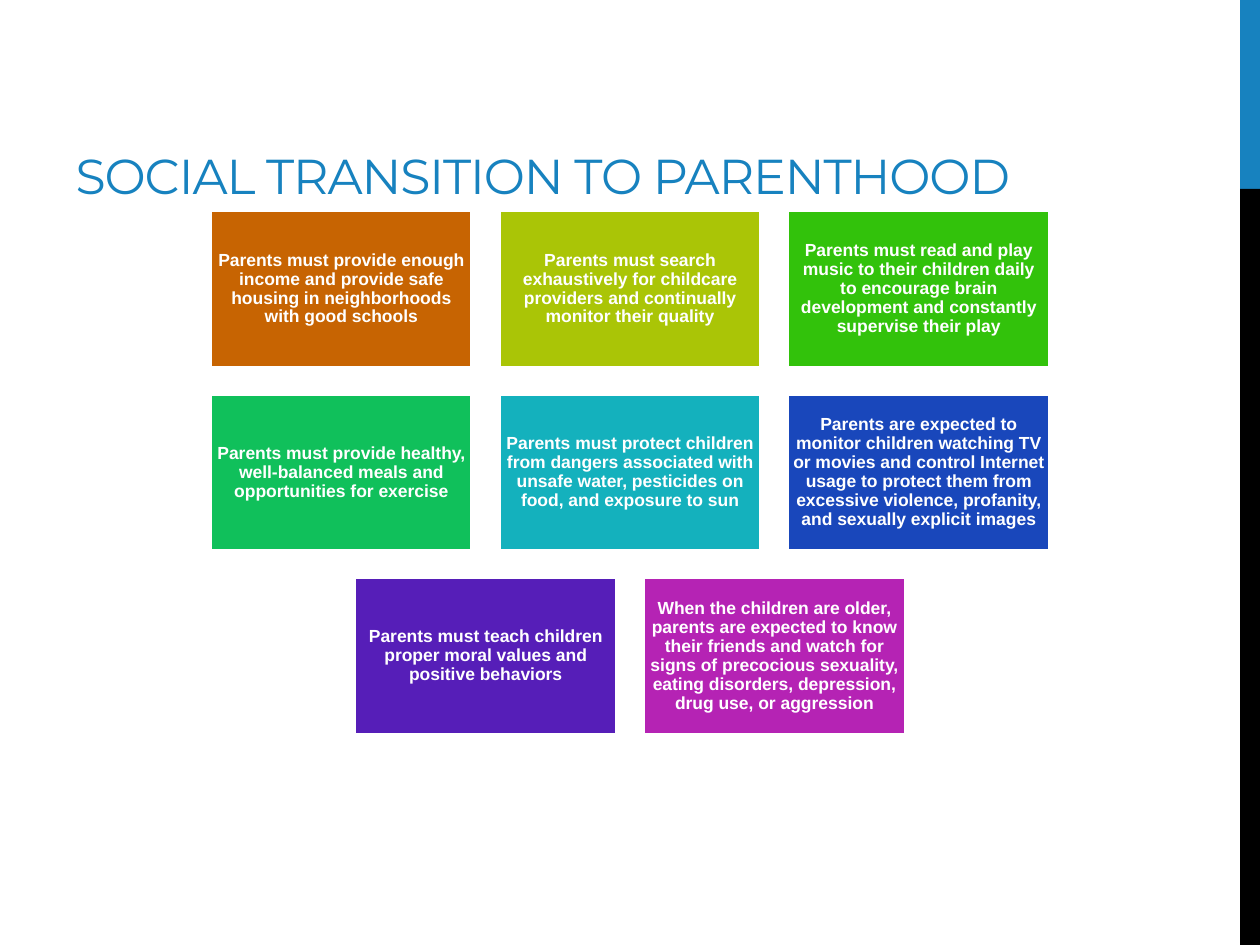
from pptx import Presentation
from pptx.dml.color import RGBColor
from pptx.enum.shapes import MSO_SHAPE
from pptx.enum.text import MSO_ANCHOR, PP_ALIGN
from pptx.util import Cm, Pt

RECTANGLE = MSO_SHAPE.RECTANGLE
MIDDLE, BOTTOM = MSO_ANCHOR.MIDDLE, MSO_ANCHOR.BOTTOM
LEFT, CENTER = PP_ALIGN.LEFT, PP_ALIGN.CENTER

COLORS = {
    "title": "1782BF", "black": "000000", "white": "FFFFFF",
    "orange": "C76402", "olive": "AAC506", "green": "32C20B",
    "emerald": "10C05B", "teal": "14B1BD", "blue": "1947BB",
    "violet": "561EB8", "magenta": "B523B4",
}
PAGE_WIDTH, PAGE_HEIGHT = 25.4, 19.05
BAR_LEFT, BAR_SPLIT = 25, 3.81
BOX_WIDTH, BOX_HEIGHT, GAP = 5.29, 3.17, 0.53
GRID_TOP = 4.24

ROWS = [
    [("orange", "Parents must provide enough income and provide safe housing in "
                "neighborhoods with good schools"),
     ("olive", "Parents must search exhaustively for childcare providers and "
               "continually monitor their quality"),
     ("green", "Parents must read and play music to their children daily to "
               "encourage brain development and constantly supervise their play")],
    [("emerald", "Parents must provide healthy, well-balanced meals and "
                 "opportunities for exercise"),
     ("teal", "Parents must protect children from dangers associated with unsafe "
              "water, pesticides on food, and exposure to sun"),
     ("blue", "Parents are expected to monitor children watching TV or movies and "
              "control Internet usage to protect them from excessive violence, "
              "profanity, and sexually explicit images")],
    [("violet", "Parents must teach children proper moral values and positive "
                "behaviors"),
     ("magenta", "When the children are older, parents are expected to know their "
                 "friends and watch for signs of precocious sexuality, eating "
                 "disorders, depression, drug use, or aggression")],
]


def color(name):
    return RGBColor.from_string(COLORS[name])


def add_rectangle(page, left, top, width, height, fill):
    """Add a plain filled rectangle, with lengths in centimetres."""
    box = page.shapes.add_shape(RECTANGLE, Cm(left), Cm(top), Cm(width), Cm(height))
    box.shadow.inherit = False
    box.fill.solid()
    box.fill.fore_color.rgb = color(fill)
    box.line.fill.background()
    return box


deck = Presentation()
deck.slide_width, deck.slide_height = Cm(PAGE_WIDTH), Cm(PAGE_HEIGHT)
page = deck.slides.add_slide(deck.slide_layouts[5])

# Side bar
bar_width = PAGE_WIDTH - BAR_LEFT
add_rectangle(page, BAR_LEFT, 0, bar_width, BAR_SPLIT, "title")
add_rectangle(page, BAR_LEFT, BAR_SPLIT, bar_width, PAGE_HEIGHT - BAR_SPLIT, "black")

# Title
title = page.shapes.title
title.left, title.top, title.width, title.height = Cm(1.27), Cm(0.43), Cm(23.75), Cm(3.81)
title.text_frame.text = "SOCIAL TRANSITION TO PARENTHOOD"
title.text_frame.vertical_anchor = BOTTOM
para = title.text_frame.paragraphs[0]
para.alignment = LEFT
para.font.name, para.font.size = "Montserrat", Pt(28)
para.font.color.rgb = color("title")
para.runs[0]._r.get_or_add_rPr().set("spc", "-60")

# Expectation boxes, each row centred on the page
for row_index, row in enumerate(ROWS):
    row_width = len(row) * (BOX_WIDTH + GAP) - GAP
    row_left = (PAGE_WIDTH - row_width) / 2
    top = GRID_TOP + row_index * (BOX_HEIGHT + GAP)
    for column, (fill, text) in enumerate(row):
        left = row_left + column * (BOX_WIDTH + GAP)
        box = add_rectangle(page, left, top, BOX_WIDTH, BOX_HEIGHT, fill)
        box.line.color.rgb = color("white")
        box.line.width = Pt(2.25)
        frame = box.text_frame
        frame.word_wrap = True
        frame.vertical_anchor = MIDDLE
        frame.margin_left = frame.margin_right = Cm(0.1)
        frame.margin_top = frame.margin_bottom = Cm(0.1)
        frame.text = text
        para = frame.paragraphs[0]
        para.alignment = CENTER
        para.line_spacing = 0.9
        para.font.name, para.font.size, para.font.bold = "Arial", Pt(10), True
        para.font.color.rgb = color("white")

deck.save("out.pptx")
